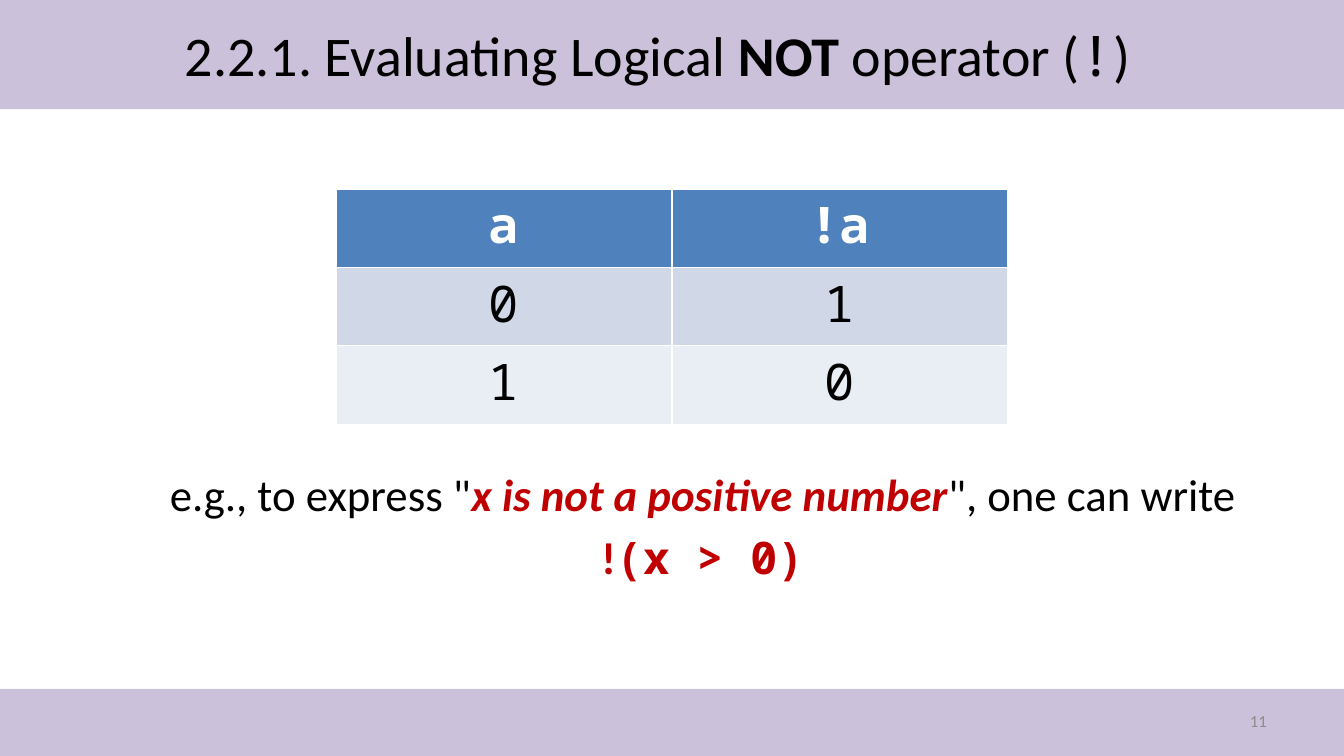
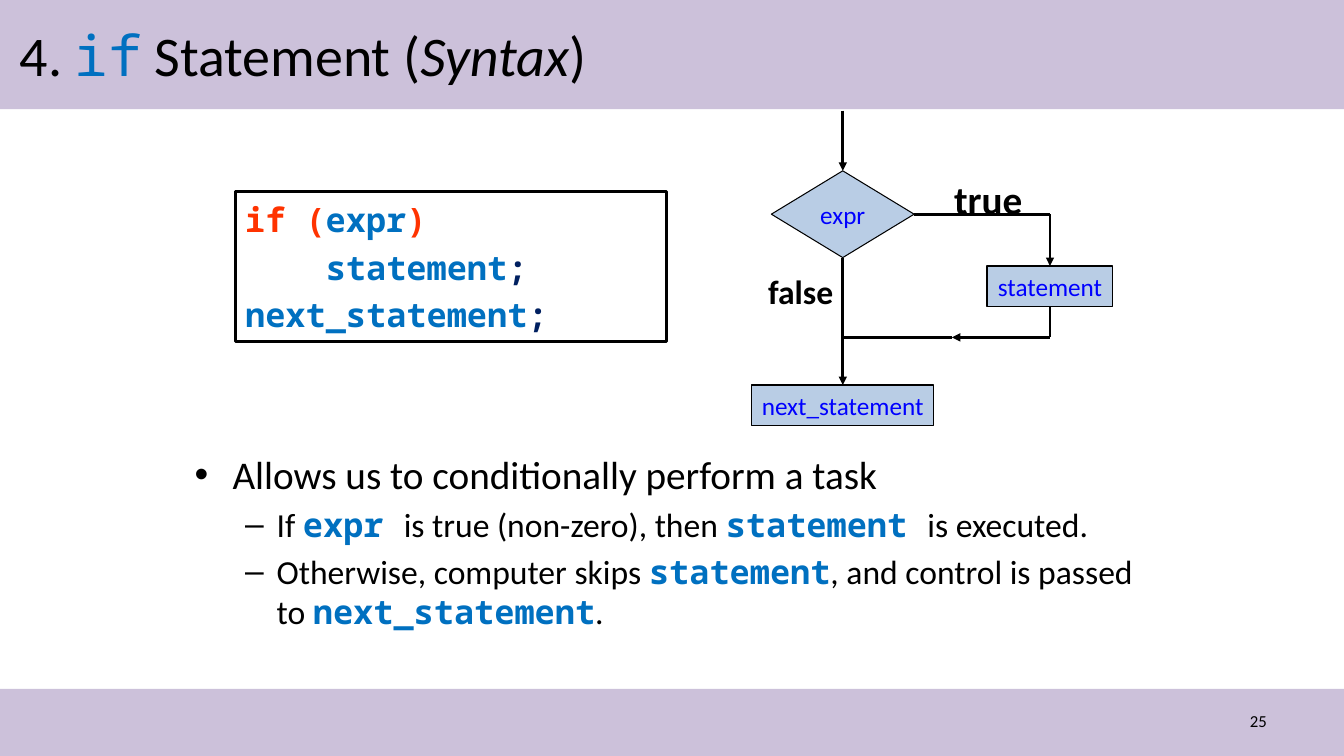
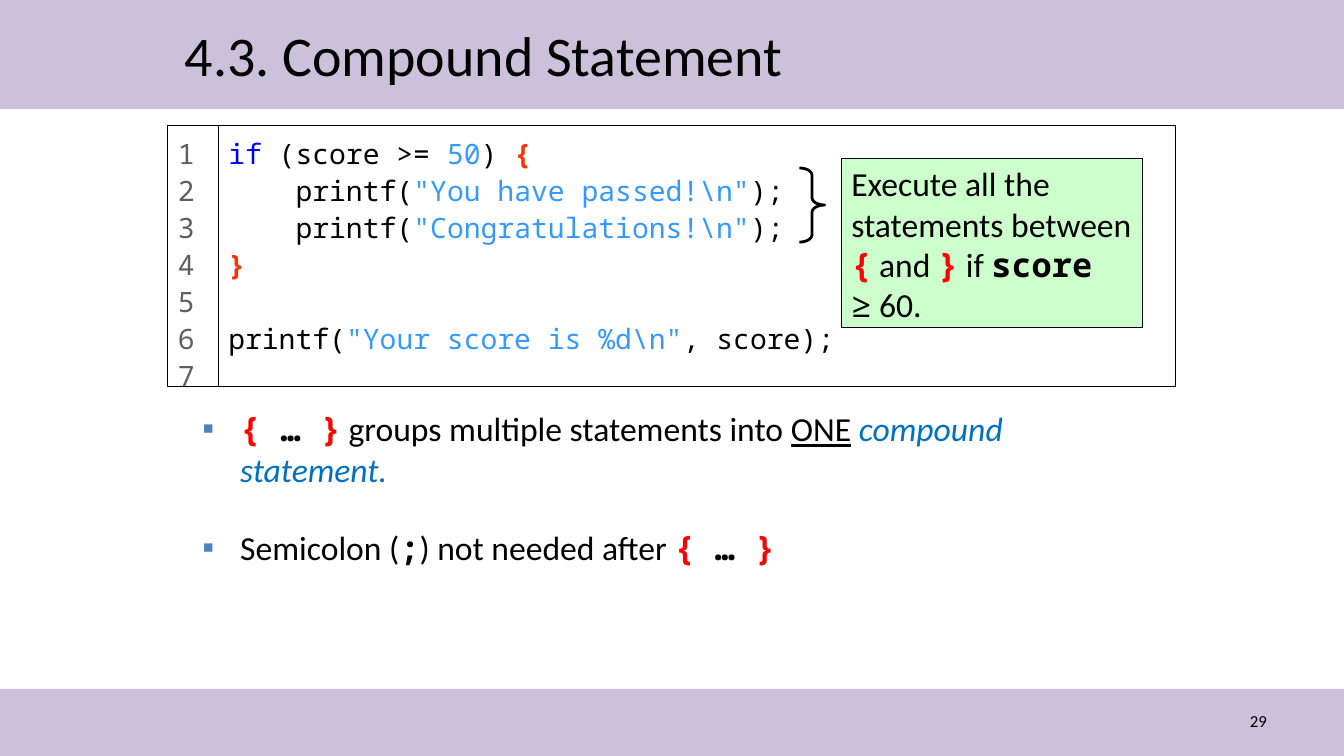
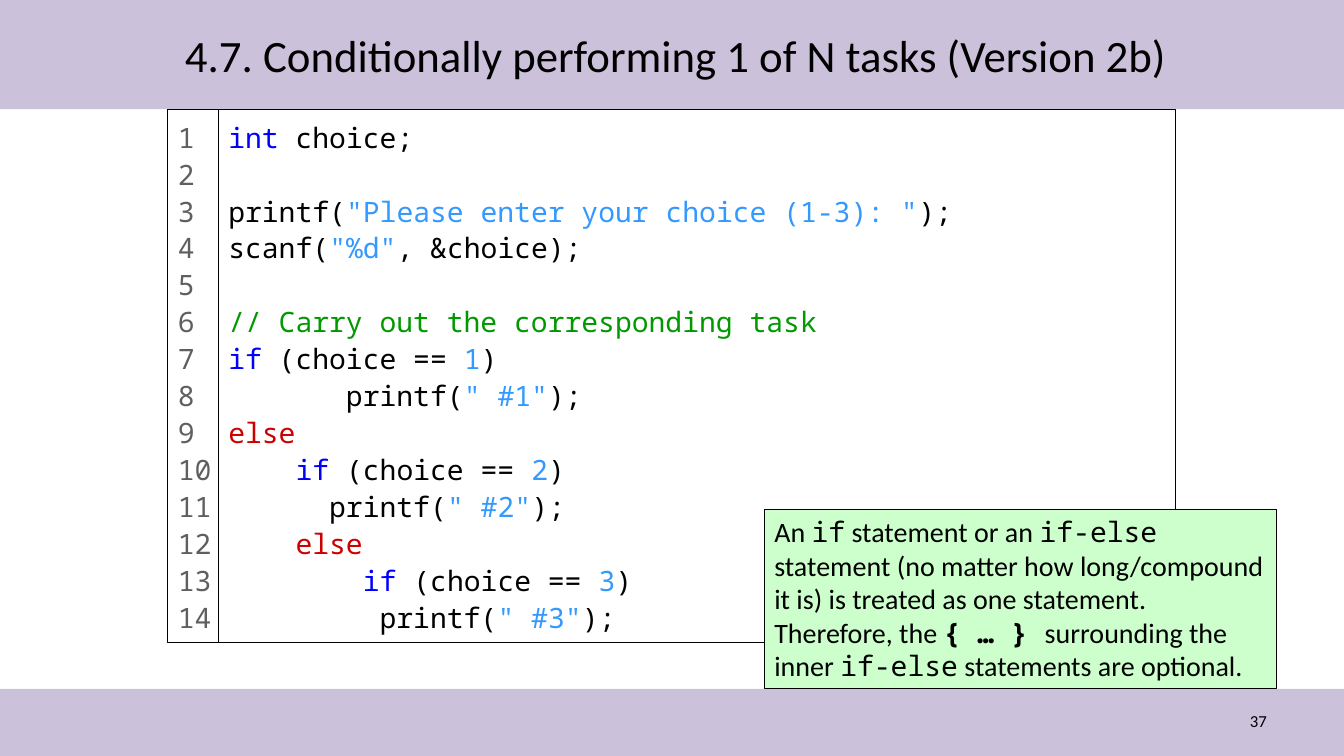
from lxml import etree
from pptx import Presentation
from pptx.dml.color import RGBColor
from pptx.enum.shapes import MSO_CONNECTOR, MSO_SHAPE
from pptx.enum.text import MSO_ANCHOR, PP_ALIGN
from pptx.oxml.ns import qn
from pptx.util import Pt

RECT = MSO_SHAPE.RECTANGLE
DIAMOND = MSO_SHAPE.DIAMOND
BRACE = MSO_SHAPE.RIGHT_BRACE
STRAIGHT = MSO_CONNECTOR.STRAIGHT
TOP, MIDDLE = MSO_ANCHOR.TOP, MSO_ANCHOR.MIDDLE
LEFT, CENTER, RIGHT = PP_ALIGN.LEFT, PP_ALIGN.CENTER, PP_ALIGN.RIGHT
TOP_SIDE, BOTTOM_SIDE, RIGHT_SIDE = 0, 2, 3

WIDTH, HEIGHT = 960, 540
BODY_FONT, CODE_FONT = "Calibri", "Noto Sans Mono"
BLACK, WHITE, GREY = "000000", "FFFFFF", "8C8C8C"
LILAC, FLOW_BLUE, NOTE_GREEN = "CCC1DA", "B9CDE5", "CCFFCC"
BLUE, NAVY, PURE_BLUE, ACCENT = "0070C0", "002060", "0000FF", "4F81BD"
LINE_PITCH = 1.2        # line height as a share of the text size
CODE_PITCH = 1.32
CODE_INSET = 5.4

STYLES = {
    "plain": {},
    "bold": {"bold": True},
    "italic": {"italic": True},
    "underline": {"underline": True},
    "term": {"color": BLUE, "italic": True},
    "claim": {"color": "C00000", "bold": True, "italic": True},
    "claim mark": {"color": "C00000", "bold": True},
    "claim code": {"font": CODE_FONT, "color": "C00000", "bold": True},
    "code": {"font": CODE_FONT},
    "bold code": {"font": CODE_FONT, "bold": True},
    "blue code": {"font": CODE_FONT, "color": BLUE},
    "name": {"font": CODE_FONT, "color": BLUE, "bold": True},
    "end mark": {"font": CODE_FONT, "color": NAVY, "bold": True},
    "bracket": {"font": CODE_FONT, "color": "FF3300", "bold": True},
    "red brace": {"font": CODE_FONT, "color": "FF0000", "bold": True},
    "keyword": {"font": CODE_FONT, "color": PURE_BLUE},
    "else": {"font": CODE_FONT, "color": "CC0000"},
    "literal": {"font": CODE_FONT, "color": "3399FF"},
    "comment": {"font": CODE_FONT, "color": "009900"},
    "line number": {"font": CODE_FONT, "color": "5F5F5F"},
}


def rgb(value):
    return RGBColor.from_string(value)


def points(*values):
    return [Pt(value) for value in values]


def add_bullet(paragraph, mark, margin, hang, color):
    properties = paragraph._p.get_or_add_pPr()
    properties.set("marL", str(Pt(margin)))
    properties.set("indent", str(-Pt(hang)))
    tint = etree.SubElement(properties, qn("a:buClr"))
    etree.SubElement(tint, qn("a:srgbClr"), val=color)
    etree.SubElement(properties, qn("a:buFont"), typeface="Arial")
    etree.SubElement(properties, qn("a:buChar"), char=mark)


class Deck:
    def __init__(self):
        self.show = Presentation()
        self.show.slide_width, self.show.slide_height = points(WIDTH, HEIGHT)
        self.slide = None

    def start(self, title, number, left=125, size=40, number_color=BLACK):
        """Adds a slide with its bands, title and slide number."""
        self.slide = self.show.slides.add_slide(self.show.slide_layouts[6])
        self.box((0, 0, WIDTH, 78), fill=LILAC, line=None)
        self.box((0, 492, WIDTH, 48), fill=LILAC, line=None)
        self.text((left, 6, 830, 66), [title], size, anchor=MIDDLE)
        self.text((688, 500, 224, 29), [[str(number)]], 12, color=number_color,
                  align=RIGHT, anchor=MIDDLE)

    def paragraph(self, frame, pieces, size, first, color=BLACK, align=LEFT,
                  pitch=LINE_PITCH, gap=0):
        """Writes pieces, each a string or a (string, style name) pair."""
        paragraph = frame.paragraphs[0] if first else frame.add_paragraph()
        paragraph.alignment = align
        paragraph.line_spacing = Pt(round(size * pitch, 2))
        paragraph.space_before = Pt(0 if first else round(gap, 2))
        for piece in pieces:
            words, style = (piece, "plain") if isinstance(piece, str) else piece
            look = STYLES[style]
            run = paragraph.add_run()
            run.text = words
            run.font.size = Pt(size)
            run.font.name = look.get("font", BODY_FONT)
            run.font.color.rgb = rgb(look.get("color", color))
            run.font.bold = look.get("bold", False)
            run.font.italic = look.get("italic", False)
            run.font.underline = look.get("underline", False)
        return paragraph

    def fill_frame(self, frame, paragraphs, size, anchor=TOP, wrap=True,
                   inset=3.6, gap=0, **look):
        frame.word_wrap = wrap
        frame.vertical_anchor = anchor
        frame.margin_top = Pt(inset)
        for index, pieces in enumerate(paragraphs):
            self.paragraph(frame, pieces, size, index == 0, gap=gap, **look)

    def text(self, place, paragraphs, size, **look):
        label = self.slide.shapes.add_textbox(*points(*place))
        self.fill_frame(label.text_frame, paragraphs, size, **look)

    def box(self, place, paragraphs=(), size=18, fill=None, line=BLACK,
            weight=0.75, kind=RECT, **look):
        shape = self.slide.shapes.add_shape(kind, *points(*place))
        shape.shadow.inherit = False
        if fill:
            shape.fill.solid()
            shape.fill.fore_color.rgb = rgb(fill)
        else:
            shape.fill.background()
        if line:
            shape.line.color.rgb = rgb(line)
            shape.line.width = Pt(weight)
        else:
            shape.line.fill.background()
        if paragraphs:
            self.fill_frame(shape.text_frame, paragraphs, size, **look)
        return shape

    def flow_step(self, place, name, kind=RECT):
        return self.box(place, [[name]], 18, fill=FLOW_BLUE, kind=kind,
                        color=PURE_BLUE, align=CENTER, anchor=MIDDLE, wrap=False)

    def line(self, start, end, arrow=False):
        connector = self.slide.shapes.add_connector(
            STRAIGHT, *points(*start, *end))
        connector.line.color.rgb = rgb(BLACK)
        connector.line.width = Pt(2)
        if arrow:
            etree.SubElement(connector.line._get_or_add_ln(), qn("a:tailEnd"),
                             type="triangle")
        etree.SubElement(connector._element.spPr, qn("a:effectLst"))
        return connector

    def listing(self, top, height, lines, count):
        """Draws numbered code; an empty line becomes space before the next."""
        size = 20
        code = self.box((156, top, 684, height), fill=WHITE)
        frame = code.text_frame
        self.fill_frame(frame, [], size, inset=CODE_INSET)
        gap = 0
        for index, pieces in enumerate(lines):
            if not pieces:
                gap += size * CODE_PITCH
                continue
            self.paragraph(frame, pieces, size, index == 0, pitch=CODE_PITCH, gap=gap)
            gap = 0
        numbers = [[(str(n), "line number")] for n in range(1, count + 1)]
        gutter = self.box((120, top, 36, height), numbers, size, fill=WHITE,
                          pitch=CODE_PITCH, inset=CODE_INSET)
        gutter.text_frame.margin_right = Pt(0)

    def bullets(self, place, items):
        """Each item is mark, size, margin, hang, colour, gap and pieces."""
        body = self.slide.shapes.add_textbox(*points(*place)).text_frame
        body.word_wrap = True
        for index, (mark, size, margin, hang, color, gap, pieces) in enumerate(items):
            paragraph = self.paragraph(body, pieces, size, index == 0, gap=gap)
            add_bullet(paragraph, mark, margin, hang, color)

    def truth_table(self, place, rows):
        table = self.slide.shapes.add_table(
            len(rows), len(rows[0]), *points(*place)).table
        fills = [ACCENT, "D0D8E8", "E9EDF4"]
        for r, row in enumerate(rows):
            style, color = ("code", BLACK) if r else ("bold code", WHITE)
            for c, value in enumerate(row):
                cell = table.cell(r, c)
                cell.fill.solid()
                cell.fill.fore_color.rgb = rgb(fills[r])
                cell.vertical_anchor = MIDDLE
                self.paragraph(cell.text_frame, [(value, style)], 36, True,
                               color=color, align=CENTER)


def logical_not(deck):
    deck.start(["2.2.1. Evaluating Logical ", ("NOT", "bold"), " operator (",
                ("!", "code"), ")"], 11, number_color=GREY)
    deck.truth_table((240, 135, 480, 168), [["a", "!a"], ["0", "1"], ["1", "0"]])
    deck.text((94, 330, 816, 150), [
        ['e.g., to express "', ("x is not a positive number", "claim"),
         '", one can write'],
        [("!", "claim mark"), ("(x > 0)", "claim code")],
    ], 32, align=CENTER, gap=6.4)


def if_syntax(deck):
    deck.start(["4. ", ("if", "blue code"), " Statement (", ("Syntax", "italic"),
                ")"], 25, left=7)
    deck.box((168, 137, 308, 107), [
        [("if (", "bracket"), ("expr", "name"), (")", "bracket")],
        [("    statement", "name"), (";", "end mark")],
        [("next_statement", "name"), (";", "end mark")],
    ], 24, weight=2, gap=4.8, inset=CODE_INSET)

    main_x, branch_x, test_y, merge_y = 602, 750, 153, 241
    test = deck.flow_step((main_x - 51, 122, 102, 62), "expr", DIAMOND)
    following = deck.flow_step((main_x - 65, 275, 130, 29), "next_statement")
    branch = deck.flow_step((branch_x - 45, 190, 90, 29), "statement")

    deck.line((main_x, 79), (main_x, 122), arrow=True).end_connect(test, TOP_SIDE)
    skip = deck.line((main_x, 184), (main_x, 275), arrow=True)
    skip.begin_connect(test, BOTTOM_SIDE)
    skip.end_connect(following, TOP_SIDE)
    deck.line((653, test_y), (branch_x, test_y)).begin_connect(test, RIGHT_SIDE)
    deck.line((branch_x, test_y), (branch_x, 190),
              arrow=True).end_connect(branch, TOP_SIDE)
    deck.line((branch_x, 219), (branch_x, merge_y)).begin_connect(branch, BOTTOM_SIDE)
    deck.line((branch_x, merge_y), (680, merge_y), arrow=True)
    deck.line((680, merge_y), (main_x, merge_y))
    deck.text((674.5, 122, 64, 41), [[("true", "bold")]], 28, wrap=False)
    deck.text((541.5, 190, 62, 37), [[("false", "bold")]], 24, wrap=False)

    dash = ("–", 24, 58.5, 22.5, BLACK, 4.8)
    deck.bullets((132, 318, 696, 174), [
        ("•", 28, 27, 27, BLACK, 0, ["Allows us to conditionally perform a task"]),
        (*dash, ["If ", ("expr ", "name"), "is true (non-zero), then ",
                 ("statement ", "name"), "is executed."]),
        (*dash, ["Otherwise, computer skips ", ("statement", "name"),
                 ", and control is passed to ", ("next_statement", "name"), "."]),
    ])


def compound_statement(deck):
    deck.start(["4.3. Compound Statement"], 29)

    def print_line(message):
        return [("    printf(", "code"), (message, "literal"), (");", "code")]

    deck.listing(90, 186, [
        [("if", "keyword"), (" (score >= ", "code"), ("50", "literal"),
         (") ", "code"), ("{", "bracket")],
        print_line(r'"You have passed!\n"'),
        print_line(r'"Congratulations!\n"'),
        [("}", "bracket")],
        [],
        [("printf(", "code"), (r'"Your score is %d\n"', "literal"),
         (", score);", "code")],
    ], 7)

    block = [("{ ", "red brace"), ("… ", "bold code"), ("}", "red brace")]
    square = ("▪", 24, 27, 27, ACCENT, 27)
    deck.bullets((137.5, 288, 692.5, 145), [
        (*square, [*block, " groups multiple statements into ",
                   ("ONE", "underline"), " ", ("compound statement.", "term")]),
        (*square, ["Semicolon (", (";", "bold code"), ") not needed after ", *block]),
    ])
    brace = deck.box((571, 120, 18, 53), weight=2, kind=BRACE)
    brace.adjustments[0], brace.adjustments[1] = 0.29, 0.5
    deck.box((601, 113, 215, 121), [
        ["Execute all the statements between ", ("{", "red brace"), " and ",
         ("}", "red brace"), " if ", ("score ", "bold code"), ("≥", "code"), " 60."],
    ], 24, fill=NOTE_GREEN)


def one_of_n_tasks(deck):
    deck.start(["4.7. Conditionally performing 1 of N tasks (Version 2b)"], 37, size=32)

    def test(indent, choice):
        return [(" " * indent + "if", "keyword"), (" (choice == ", "code"),
                (choice, "literal"), (")", "code")]

    def print_line(indent, message):
        return [(" " * indent + "printf(", "code"), (message, "literal"),
                (");", "code")]

    deck.listing(78, 381, [
        [("int", "keyword"), (" choice;", "code")],
        [],
        print_line(0, '"Please enter your choice (1-3): "'),
        [("scanf(", "code"), ('"%d"', "literal"), (", &choice);", "code")],
        [],
        [("// Carry out the corresponding task", "comment")],
        test(0, "1"),
        print_line(7, '" #1"'),
        [("else", "else")],
        test(4, "2"),
        print_line(6, '" #2"'),
        [("    else", "else")],
        test(8, "3"),
        print_line(9, '" #3"'),
    ], 14)
    deck.box((546, 364, 366, 128), [
        ["An ", ("if", "code"), " statement or an ", ("if-else", "code"),
         " statement (no matter how long/compound it is) is treated as one "
         "statement. Therefore, the ", ("{ … } ", "bold code"),
         "surrounding the inner ", ("if-else", "code"), " statements are optional."],
    ], 20, fill=NOTE_GREEN)


def main():
    deck = Deck()
    for build in (logical_not, if_syntax, compound_statement, one_of_n_tasks):
        build(deck)
    deck.show.save("out.pptx")


if __name__ == "__main__":
    main()
